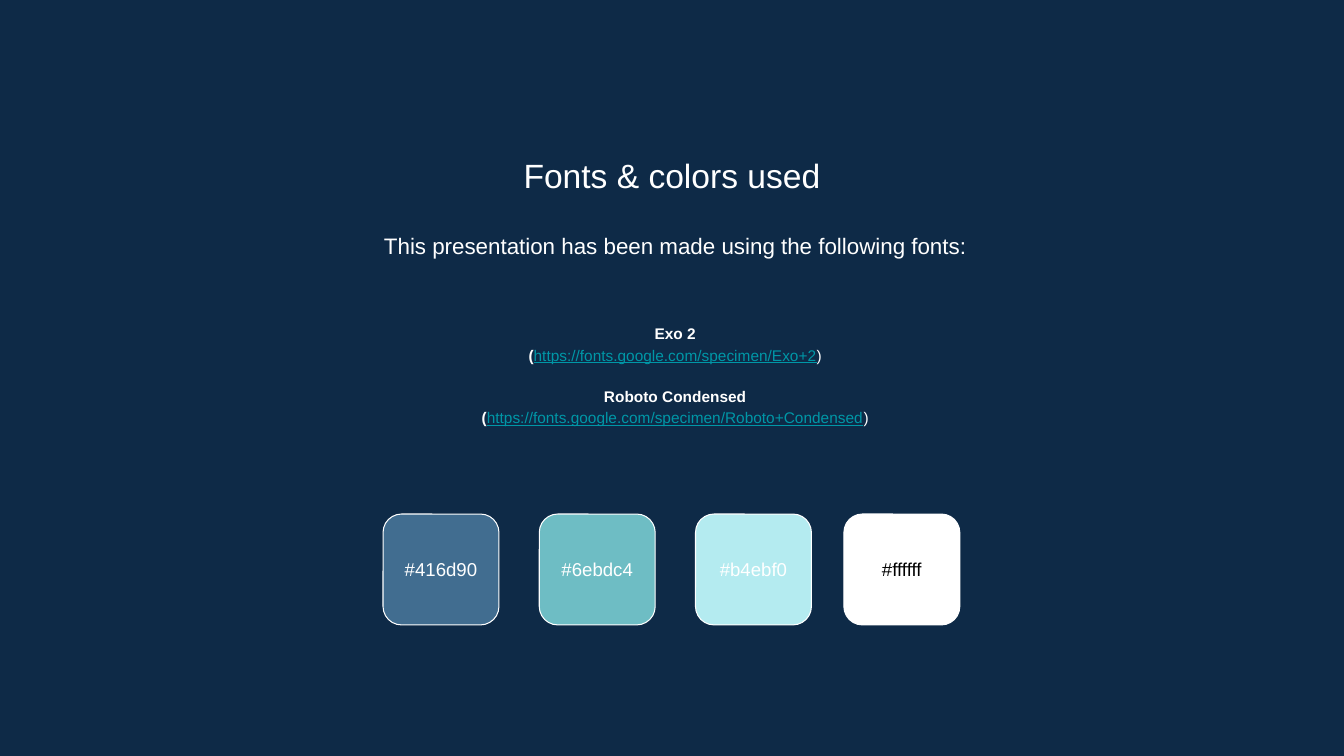
from dataclasses import dataclass

from pptx import Presentation
from pptx.dml.color import RGBColor
from pptx.enum.shapes import MSO_SHAPE
from pptx.enum.text import MSO_ANCHOR, PP_ALIGN
from pptx.util import Pt

ROUNDED = MSO_SHAPE.ROUNDED_RECTANGLE
TOP, MIDDLE = MSO_ANCHOR.TOP, MSO_ANCHOR.MIDDLE
CENTER = PP_ALIGN.CENTER

# Content
TITLE = "Fonts & colors used"
INTRO = "This presentation has been made using the following fonts:"
FONTS = [
    ("Exo 2", "https://fonts.google.com/specimen/Exo+2"),
    ("Roboto Condensed", "https://fonts.google.com/specimen/Roboto+Condensed"),
]
# Label, label colour, shift from the even grid
SWATCHES = [
    ("#416d90", "FFFFFF", 0),
    ("#6ebdc4", "FFFFFF", 0),
    ("#b4ebf0", "FFFFFF", 0),
    ("#ffffff", "000000", -5.6),
]


@dataclass(frozen=True)
class Theme:
    font: str = "Arial"
    background: str = "0E2A47"
    text: str = "FFFFFF"
    address: str = "0097A7"
    title_size: float = 24
    intro_size: float = 16
    font_size: float = 11
    swatch_size: float = 13.3


THEME = Theme()

# Layout, in points
SLIDE_WIDTH, SLIDE_HEIGHT = 960, 540
TEXT_WIDTH, INSET = 740, 9.6
LINE_SPACING, ENTRY_GAP = 1.15, 14.5
SWATCH_LEFT, SWATCH_TOP, SWATCH_PITCH = 273.6, 367.2, 111.6
SWATCH_WIDTH, SWATCH_HEIGHT = 82.8, 79.2


def color(code):
    return RGBColor.from_string(code.lstrip("#").upper())


def set_frame(shape, inset, anchor):
    frame = shape.text_frame
    frame.word_wrap = True
    frame.vertical_anchor = anchor
    frame.margin_left = frame.margin_right = Pt(inset)
    frame.margin_top = frame.margin_bottom = Pt(inset)
    return frame


def add_box(page, left, top, height, anchor):
    box = page.shapes.add_textbox(Pt(left), Pt(top), Pt(TEXT_WIDTH), Pt(height))
    return set_frame(box, INSET, anchor)


def add_span(para, text, size, code=THEME.text, bold=False, underline=False):
    para.alignment = CENTER
    span = para.add_run()
    span.text = text
    font = span.font
    font.name, font.size = THEME.font, Pt(size)
    font.bold, font.underline = bold, underline
    font.color.rgb = color(code)


deck = Presentation()
deck.slide_width, deck.slide_height = Pt(SLIDE_WIDTH), Pt(SLIDE_HEIGHT)
page = deck.slides.add_slide(deck.slide_layouts[6])
page.background.fill.solid()
page.background.fill.fore_color.rgb = color(THEME.background)

# Title and introduction
title = add_box(page, 110, 100, 50.4, MIDDLE)
add_span(title.paragraphs[0], TITLE, THEME.title_size)
intro = add_box(page, 112.3, 153.4, 46, TOP)
intro.paragraphs[0].line_spacing = LINE_SPACING
add_span(intro.paragraphs[0], INTRO, THEME.intro_size)

# Font names with their addresses
fonts = add_box(page, 112.3, 201.6, 131.8, MIDDLE)
for index, (name, address) in enumerate(FONTS):
    heading = fonts.add_paragraph() if index else fonts.paragraphs[0]
    if index:
        heading.space_before = Pt(ENTRY_GAP)
    add_span(heading, name, THEME.font_size, bold=True)
    detail = fonts.add_paragraph()
    add_span(detail, "(", THEME.font_size, bold=True)
    add_span(detail, address, THEME.font_size, THEME.address, underline=True)
    add_span(detail, ")", THEME.font_size)
    heading.line_spacing = detail.line_spacing = LINE_SPACING

# Colour swatches
for index, (label, label_color, shift) in enumerate(SWATCHES):
    left = SWATCH_LEFT + index * SWATCH_PITCH + shift
    swatch = page.shapes.add_shape(
        ROUNDED, Pt(left), Pt(SWATCH_TOP), Pt(SWATCH_WIDTH), Pt(SWATCH_HEIGHT))
    swatch.shadow.inherit = False
    swatch.fill.solid()
    swatch.fill.fore_color.rgb = color(label)
    swatch.line.color.rgb = color(THEME.text)
    swatch.line.width = Pt(0.75)
    frame = set_frame(swatch, 0, MIDDLE)
    add_span(frame.paragraphs[0], label, THEME.swatch_size, label_color)

deck.save("out.pptx")
